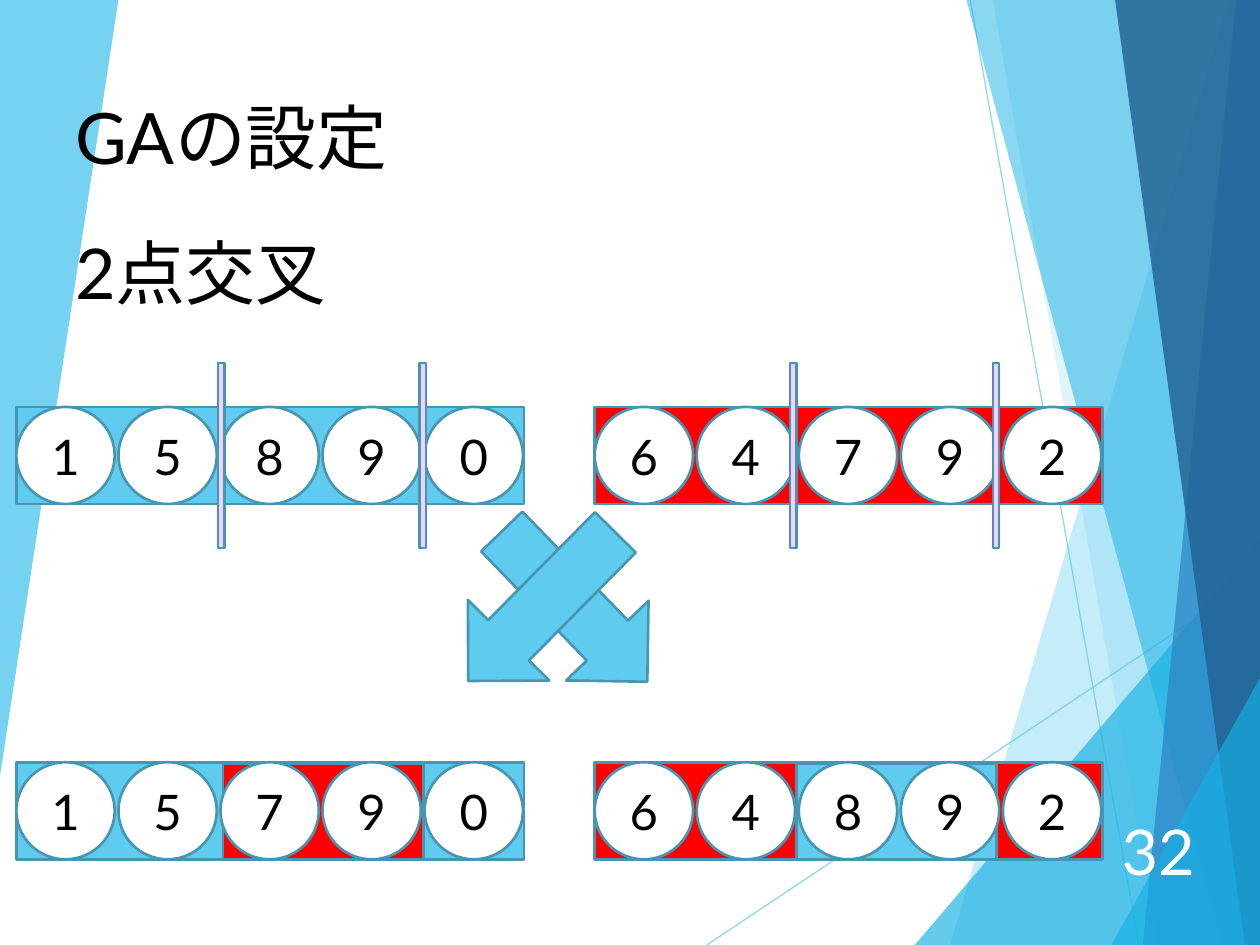
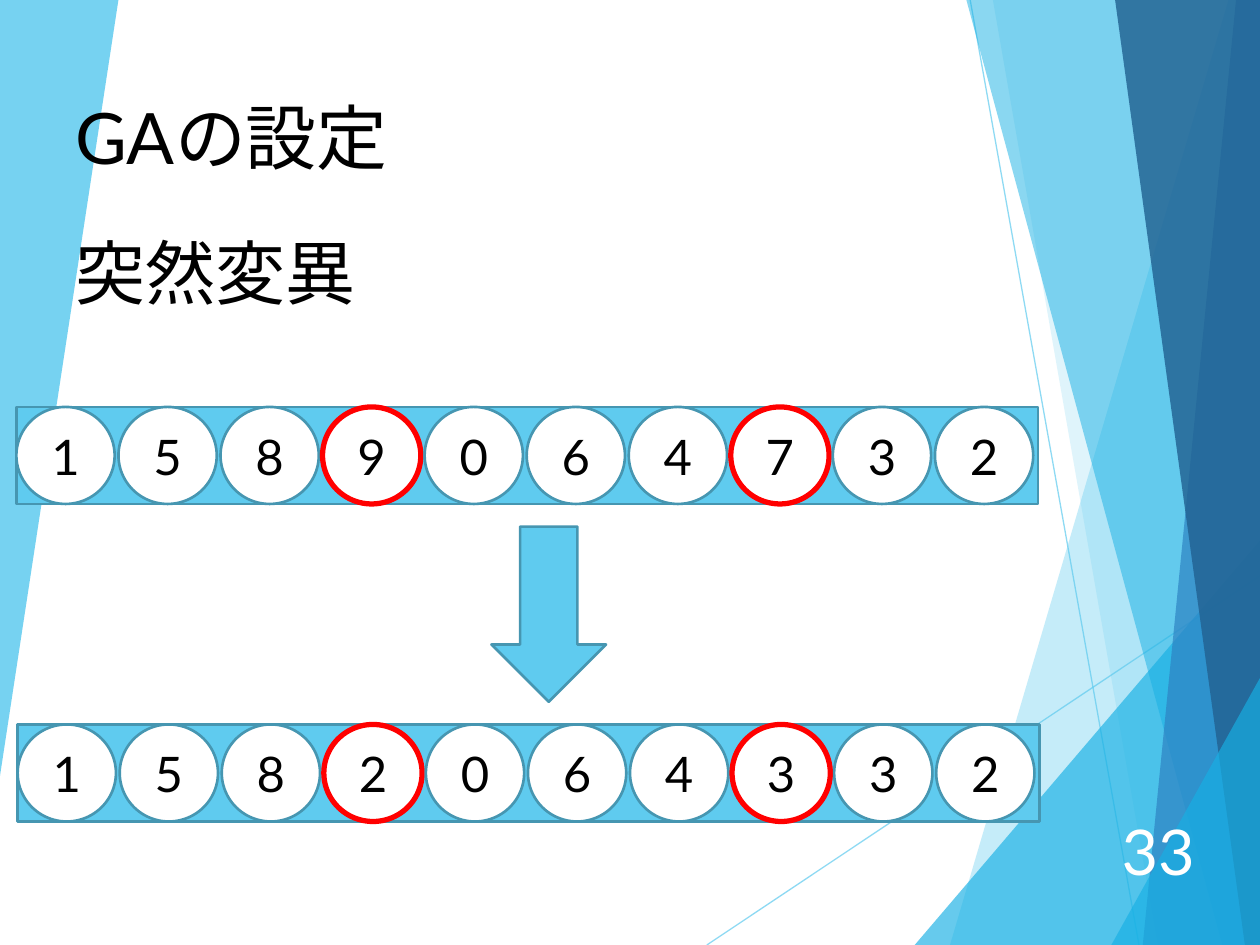
from lxml import etree
from pptx import Presentation
from pptx.dml.color import RGBColor
from pptx.enum.lang import MSO_LANGUAGE_ID as Language
from pptx.enum.shapes import MSO_CONNECTOR, MSO_SHAPE as Kind
from pptx.enum.text import MSO_ANCHOR as Anchor, MSO_AUTO_SIZE as AutoSize, PP_ALIGN as Align
from pptx.oxml.ns import qn
from pptx.util import Inches, Pt

FONT = "Lato"
BLACK = RGBColor(0x00, 0x00, 0x00)
WHITE = RGBColor(0xFF, 0xFF, 0xFF)
RED = RGBColor(0xFF, 0x00, 0x00)
PINK = RGBColor(0xF5, 0xCF, 0xFD)
SKY = RGBColor(0x5F, 0xCB, 0xEF)
CYAN = RGBColor(0x17, 0xB0, 0xE4)
BLUE = RGBColor(0x2E, 0x83, 0xC3)
NAVY = RGBColor(0x22, 0x62, 0x92)
OUTLINE = RGBColor(0x46, 0x96, 0xB1)

GENE_WIDTH, GENE_HEIGHT, GENE_PITCH = 0.78, 0.77, 0.81


def draw(page, kind, left, top, width, height, fill, line=OUTLINE, weight=1.5):
    shape = page.shapes.add_shape(kind, Inches(left), Inches(top), Inches(width), Inches(height))
    shape.shadow.inherit = False
    shape.fill.solid()
    shape.fill.fore_color.rgb = fill
    shape.line.color.rgb = line
    shape.line.width = Pt(weight)
    return shape


def write(box, text, size, color=BLACK, align=Align.LEFT, anchor=Anchor.TOP):
    frame = box.text_frame
    frame.text = text
    frame.word_wrap = True
    frame.auto_size = AutoSize.NONE
    frame.vertical_anchor = anchor
    para = frame.paragraphs[0]
    para.alignment = align
    font = para.runs[0].font
    font.name, font.size = FONT, Pt(size)
    font.color.rgb = color
    font.language_id = Language.JAPANESE


deck = Presentation()
deck.slide_width, deck.slide_height = Inches(10), Inches(7.5)
layout = deck.slide_layouts[5]
crossover_page = deck.slides.add_slide(layout)
mutation_page = deck.slides.add_slide(layout)

# Backdrop: lines and translucent facets, drawn once and moved to the layout
backdrop = []
for x1, y1, x2, y2 in [(5.61, 7.5, 10, 4.57), (7.7, 0, 9.04, 7.5)]:
    line = crossover_page.shapes.add_connector(
        MSO_CONNECTOR.STRAIGHT, Inches(x1), Inches(y1), Inches(x2), Inches(y2))
    line.line.color.rgb = SKY
    line.line.width = Pt(0.75)
    etree.SubElement(line.element.spPr, qn("a:effectLst"))
    backdrop.append((line, 70))

facets = [
    (SKY, 36, [(9.75, 0), (7.54, 7.5), (10, 7.5), (10, 0)]),
    (SKY, 20, [(7.88, 0), (9.19, 7.5), (10, 7.5), (10, 0)]),
    (CYAN, 66, [(7.26, 7.5), (10, 4.29), (10, 7.5)]),
    (CYAN, 50, [(7.67, 0), (9.7, 7.5), (10, 7.5), (10, 0)]),
    (BLUE, 70, [(9.81, 0), (9.07, 7.5), (10, 7.5), (10, 0)]),
    (NAVY, 82, [(8.85, 0), (9.88, 7.5), (10, 7.5), (10, 0)]),
    (CYAN, 66, [(8.82, 7.5), (10, 5.38), (10, 7.5)]),
    (SKY, 85, [(0, 0), (0.94, 0), (0, 6.16)]),
]
for color, opacity, corners in facets:
    points = [(Inches(x), Inches(y)) for x, y in corners]
    builder = crossover_page.shapes.build_freeform(*points[0])
    builder.add_line_segments(points[1:], close=True)
    facet = builder.convert_to_shape()
    facet.shadow.inherit = False
    facet.fill.solid()
    facet.fill.fore_color.rgb = color
    facet.line.fill.background()
    backdrop.append((facet, opacity))

for index, (shape, opacity) in enumerate(backdrop):
    for color in shape.element.iter(qn("a:srgbClr")):
        etree.SubElement(color, qn("a:alpha"), val=str(opacity * 1000))
    shape.element.xpath(".//p:cNvPr")[0].set("id", str(100 + index))
    layout.shapes.element.insert(2 + index, shape.element)

# Titles, subtitles and page numbers
for page, subtitle, number in [(crossover_page, "2点交叉", "32"), (mutation_page, "突然変異", "33")]:
    title = page.shapes.title
    title.left, title.top = Inches(0.5), Inches(0.69)
    title.width, title.height = Inches(3.81), Inches(0.78)
    write(title, "GAの設定", 40.5)
    box = page.shapes.add_textbox(Inches(0.5), Inches(1.77), Inches(7.71), Inches(0.77))
    write(box, subtitle, 40)
    box = page.shapes.add_textbox(Inches(8.74), Inches(6.48), Inches(0.84), Inches(0.53))
    write(box, number, 36, WHITE, Align.RIGHT, Anchor.MIDDLE)

# Chromosomes: left, top, width, band colour, digits, swapped part, mutated genes
chromosomes = [
    (crossover_page, 0.13, 3.23, 4.03, SKY, "15890", None, ()),
    (crossover_page, 4.72, 3.23, 4.03, RED, "64792", None, ()),
    (crossover_page, 0.13, 6.05, 4.03, SKY, "15790", (1.77, RED), ()),
    (crossover_page, 4.72, 6.05, 4.03, RED, "64892", (6.32, SKY), ()),
    (mutation_page, 0.13, 3.23, 8.11, SKY, "1589064732", None, (3, 7)),
    (mutation_page, 0.14, 5.75, 8.11, SKY, "1582064332", None, (3, 7)),
]
for page, left, top, width, band, digits, swapped, mutated in chromosomes:
    draw(page, Kind.RECTANGLE, left, top, width, GENE_HEIGHT, band)
    if swapped:
        swap_left, swap_color = swapped
        draw(page, Kind.RECTANGLE, swap_left, top + 0.01, 1.59, 0.76, swap_color)
    for index, digit in enumerate(digits):
        line, weight = (RED, 3) if index in mutated else (OUTLINE, 1.5)
        gene = draw(page, Kind.OVAL, left + index * GENE_PITCH, top,
                    GENE_WIDTH, GENE_HEIGHT, WHITE, line, weight)
        write(gene, digit, 28, align=Align.CENTER, anchor=Anchor.MIDDLE)

# Crossover points
for cut_left in (1.73, 3.33, 6.27, 7.88):
    draw(crossover_page, Kind.RECTANGLE, cut_left, 2.88, 0.05, 1.47, PINK)

# Arrows from parents to children
for page, left, top, width, angle in [
    (crossover_page, 3.73, 4.36, 1.66, 45.9),
    (crossover_page, 3.47, 4.36, 1.66, 134.7),
    (mutation_page, 3.66, 4.42, 1.39, 90),
]:
    arrow = draw(page, Kind.RIGHT_ARROW, left, top, width, 0.91, SKY)
    arrow.rotation = angle

deck.save("out.pptx")
